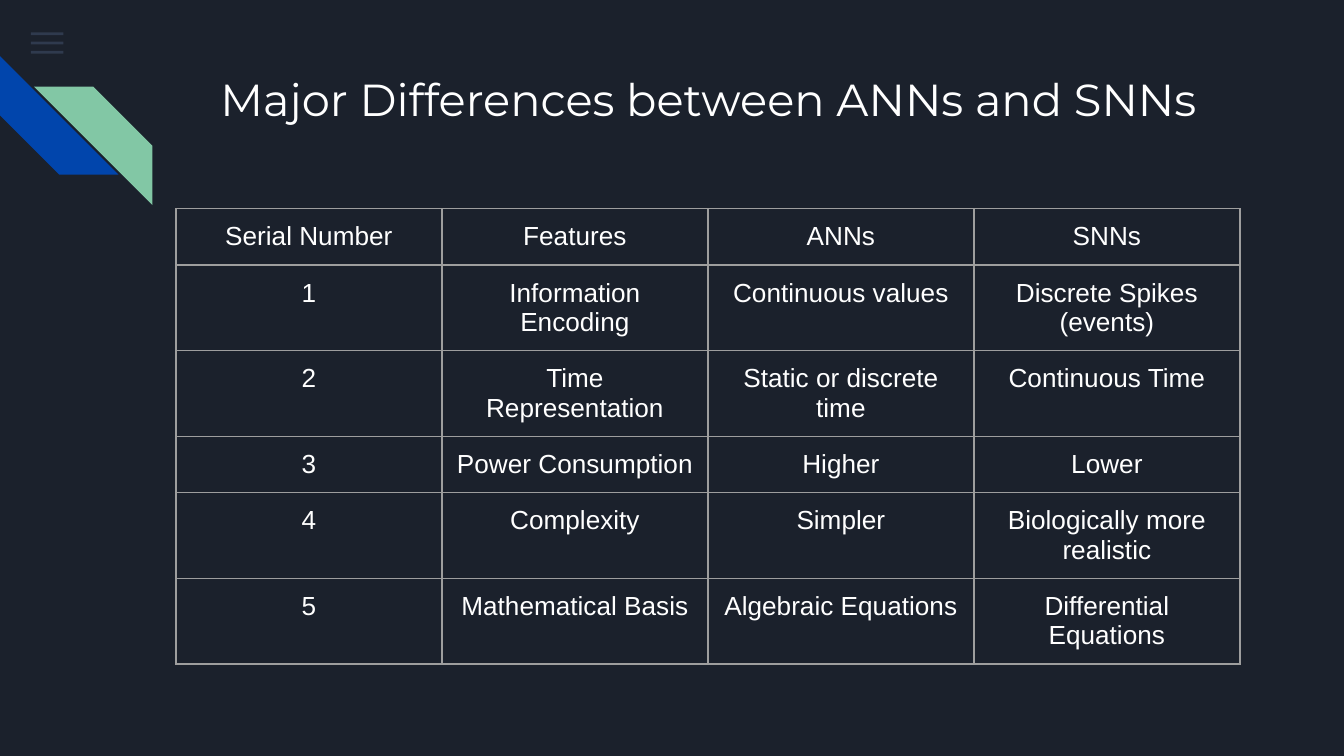
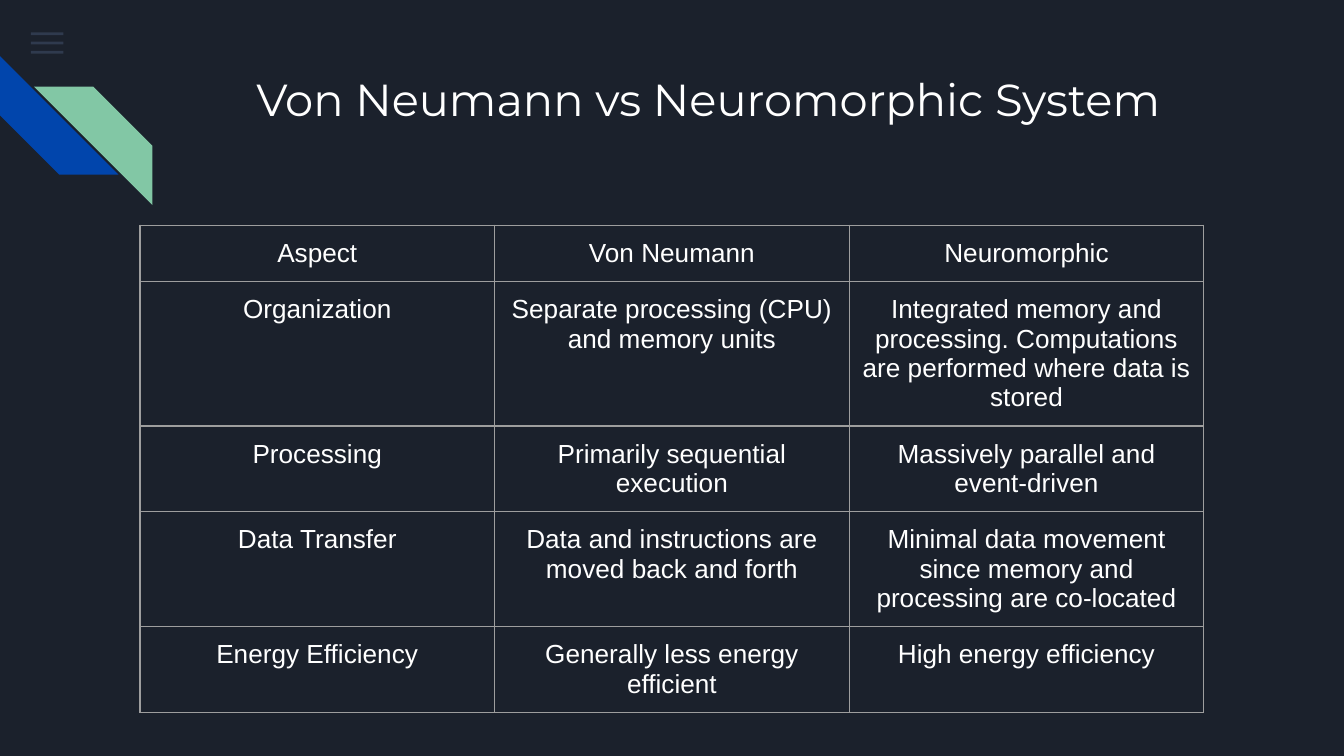
from dataclasses import dataclass

from lxml.etree import SubElement
from pptx import Presentation
from pptx.dml.color import RGBColor
from pptx.enum.shapes import MSO_SHAPE
from pptx.enum.text import MSO_ANCHOR, MSO_AUTO_SIZE, PP_ALIGN
from pptx.oxml.ns import qn
from pptx.slide import Slide
from pptx.table import _Cell
from pptx.text.text import TextFrame
from pptx.util import Pt

NAVY = RGBColor(0x1B, 0x21, 0x2C)
SLATE = RGBColor(0x55, 0x68, 0x8B)
BLUE = RGBColor(0x01, 0x45, 0xAC)
GREEN = RGBColor(0x82, 0xC7, 0xA5)
GREY = RGBColor(0x9E, 0x9E, 0x9E)
WHITE = RGBColor(0xFF, 0xFF, 0xFF)

INSET = Pt(7.2)
WIDTH = 570
ROW = 30


@dataclass(frozen=True)
class Mark:
    kind: MSO_SHAPE
    left: float
    top: float
    width: float
    height: float
    color: RGBColor
    turn: int = 0
    flip: bool = False
    alpha: int = 100


@dataclass(frozen=True)
class Page:
    title: str
    left: float
    top: float
    rows: tuple[tuple[str, ...], ...]


MARKS = [
    *(Mark(MSO_SHAPE.RECTANGLE, 16.6, 17.4 + 4.9 * i, 17.4, 1.5, SLATE, alpha=36)
      for i in range(3)),
    Mark(MSO_SHAPE.DIAGONAL_STRIPE, 0, 30, 63.5, 63.5, BLUE, turn=270),
    Mark(MSO_SHAPE.DIAGONAL_STRIPE, 18.2, 46.4, 63.5, 63.5, GREEN, flip=True),
]

PAGES = [
    Page("Major Differences between ANNs and SNNs", 94.25, 111.8, (
        ("Serial Number", "Features", "ANNs", "SNNs"),
        ("1", "Information Encoding", "Continuous values", "Discrete Spikes (events)"),
        ("2", "Time Representation", "Static or discrete time", "Continuous Time"),
        ("3", "Power Consumption", "Higher", "Lower"),
        ("4", "Complexity", "Simpler", "Biologically more realistic"),
        ("5", "Mathematical Basis", "Algebraic Equations", "Differential Equations"),
    )),
    Page("Von Neumann vs Neuromorphic System", 75, 120.7, (
        ("Aspect", "Von Neumann", "Neuromorphic"),
        ("Organization", "Separate processing (CPU) and memory units",
         "Integrated memory and processing. Computations are performed "
         "where data is stored"),
        ("Processing", "Primarily sequential execution",
         "Massively parallel and event-driven"),
        ("Data Transfer", "Data and instructions are moved back and forth",
         "Minimal data movement since memory and processing are co-located"),
        ("Energy Efficiency", "Generally less energy efficient",
         "High energy efficiency"),
    )),
]


def write(frame: TextFrame, text: str, font: str, size: float) -> None:
    line = frame.paragraphs[0]
    line.alignment = PP_ALIGN.CENTER
    run = line.add_run()
    run.text = text
    run.font.name = font
    run.font.size = Pt(size)
    run.font.color.rgb = WHITE


def draw_mark(slide: Slide, mark: Mark) -> None:
    shape = slide.shapes.add_shape(mark.kind, Pt(mark.left), Pt(mark.top),
                                   Pt(mark.width), Pt(mark.height))
    shape.shadow.inherit = False
    shape.line.fill.background()
    shape.fill.solid()
    shape.fill.fore_color.rgb = mark.color
    shape.rotation = mark.turn
    props = shape.element.spPr
    if mark.flip:
        props.find(qn("a:xfrm")).set("flipH", "1")
    if mark.alpha < 100:
        tint = props.find(qn("a:solidFill"))[0]
        SubElement(tint, qn("a:alpha")).set("val", str(mark.alpha * 1000))


def draw_title(slide: Slide, text: str) -> None:
    title = slide.shapes.title
    title.left, title.top, title.width, title.height = (
        Pt(102.2), Pt(31), Pt(554.4), Pt(72))
    frame = title.text_frame
    frame.auto_size = MSO_AUTO_SIZE.NONE
    frame.word_wrap = True
    frame.vertical_anchor = MSO_ANCHOR.TOP
    frame.margin_left = frame.margin_right = INSET
    frame.margin_top = frame.margin_bottom = INSET
    write(frame, text, "Montserrat", 24)


def style_cell(cell: _Cell) -> None:
    cell.margin_left = cell.margin_right = INSET
    cell.margin_top = cell.margin_bottom = INSET
    cell.vertical_anchor = MSO_ANCHOR.TOP
    props = cell._tc.get_or_add_tcPr()
    for side in "LRTB":
        edge = SubElement(props, qn(f"a:ln{side}"))
        edge.set("w", str(int(Pt(0.75))))
        fill = SubElement(edge, qn("a:solidFill"))
        SubElement(fill, qn("a:srgbClr")).set("val", str(GREY))
    cell.fill.background()


def draw_table(slide: Slide, page: Page) -> None:
    count, span = len(page.rows), len(page.rows[0])
    table = slide.shapes.add_table(count, span, Pt(page.left), Pt(page.top),
                                   Pt(WIDTH), Pt(ROW * count)).table
    table.first_row = table.horz_banding = False
    for r, row in enumerate(page.rows):
        for c, text in enumerate(row):
            cell = table.cell(r, c)
            style_cell(cell)
            write(cell.text_frame, text, "Arial", 14)


def main() -> None:
    deck = Presentation()
    deck.slide_width, deck.slide_height = Pt(720), Pt(405)
    back = deck.slide_master.background.fill
    back.solid()
    back.fore_color.rgb = NAVY
    for page in PAGES:
        slide = deck.slides.add_slide(deck.slide_layouts[5])
        for mark in MARKS:
            draw_mark(slide, mark)
        draw_title(slide, page.title)
        draw_table(slide, page)
    deck.save("out.pptx")


if __name__ == "__main__":
    main()
